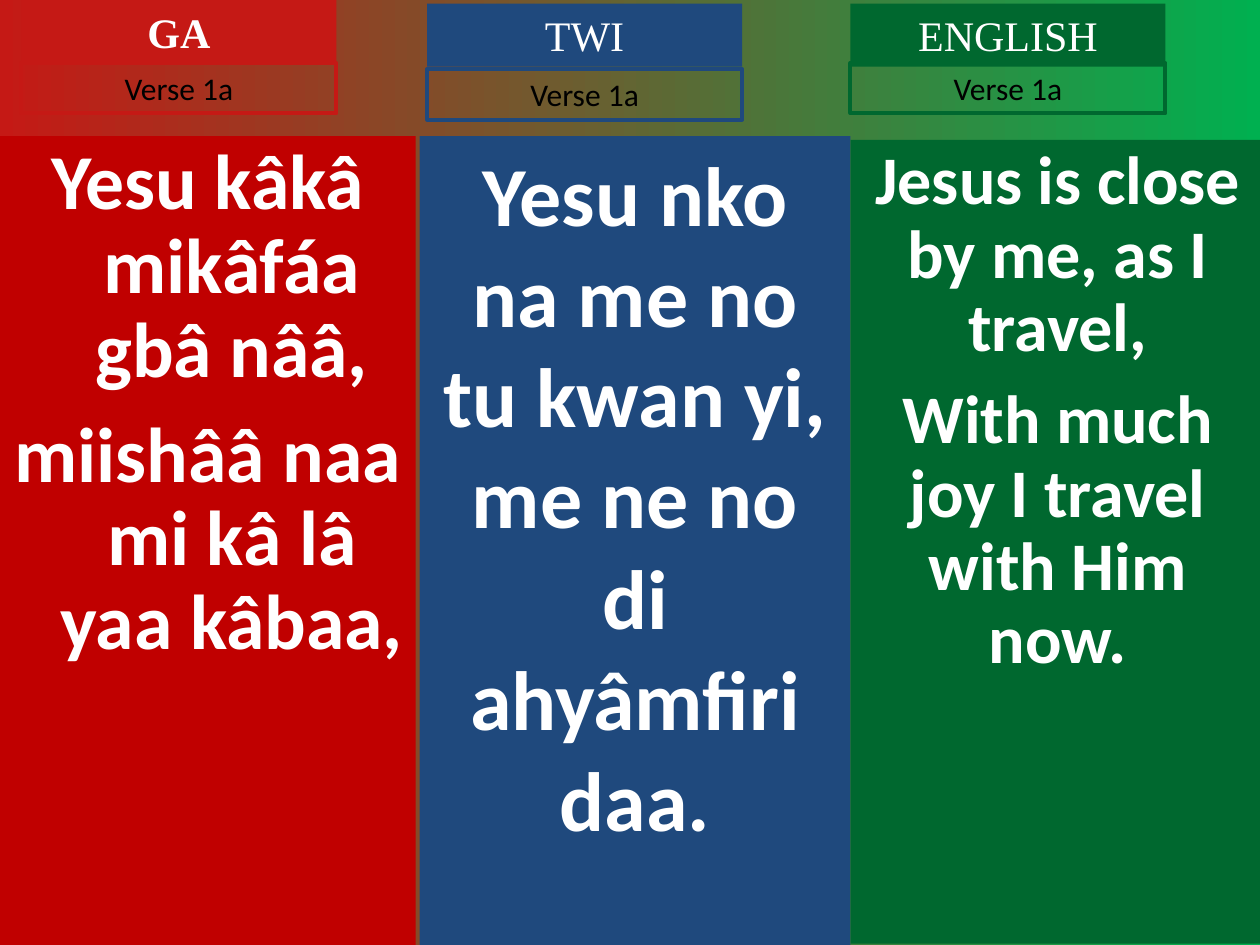
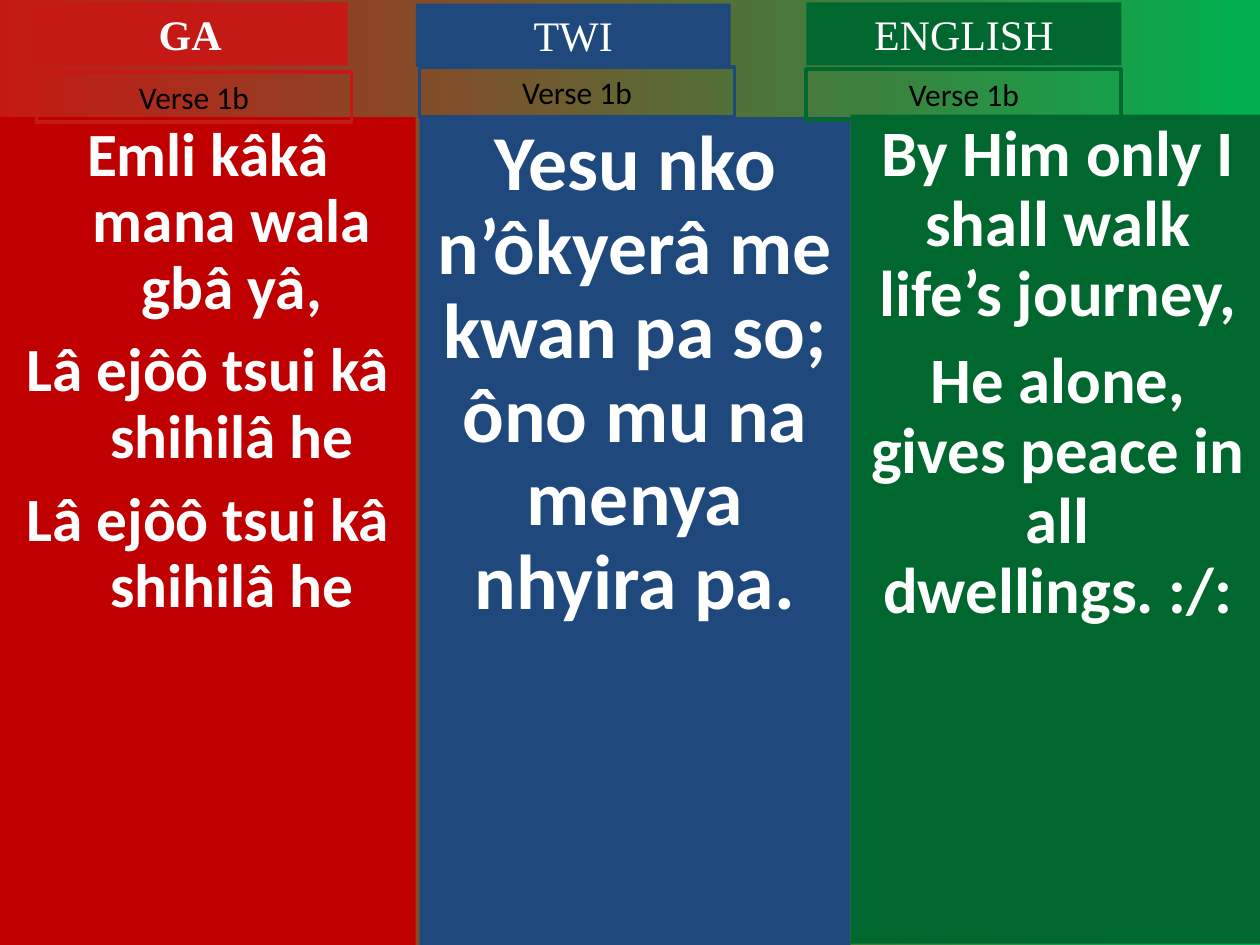
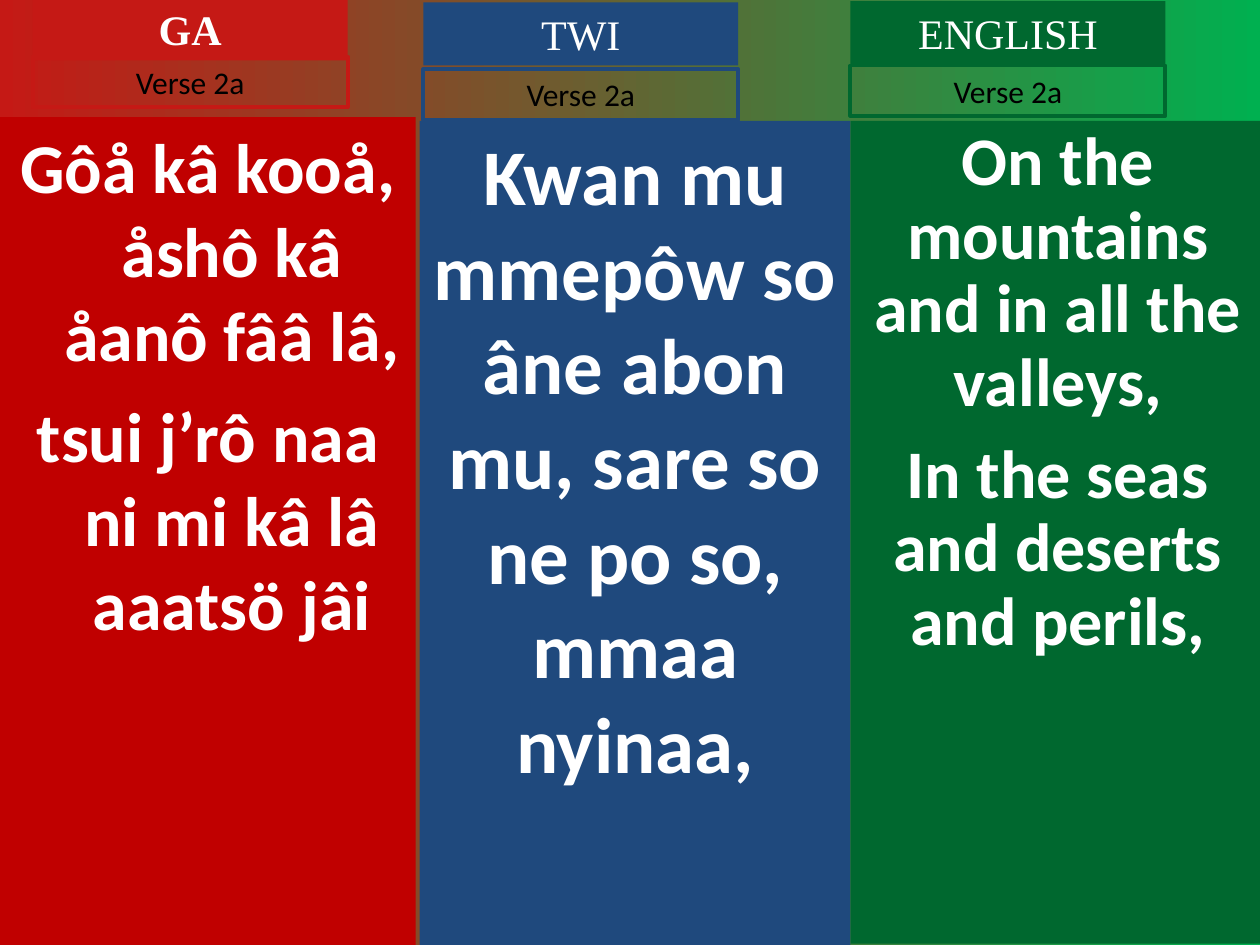
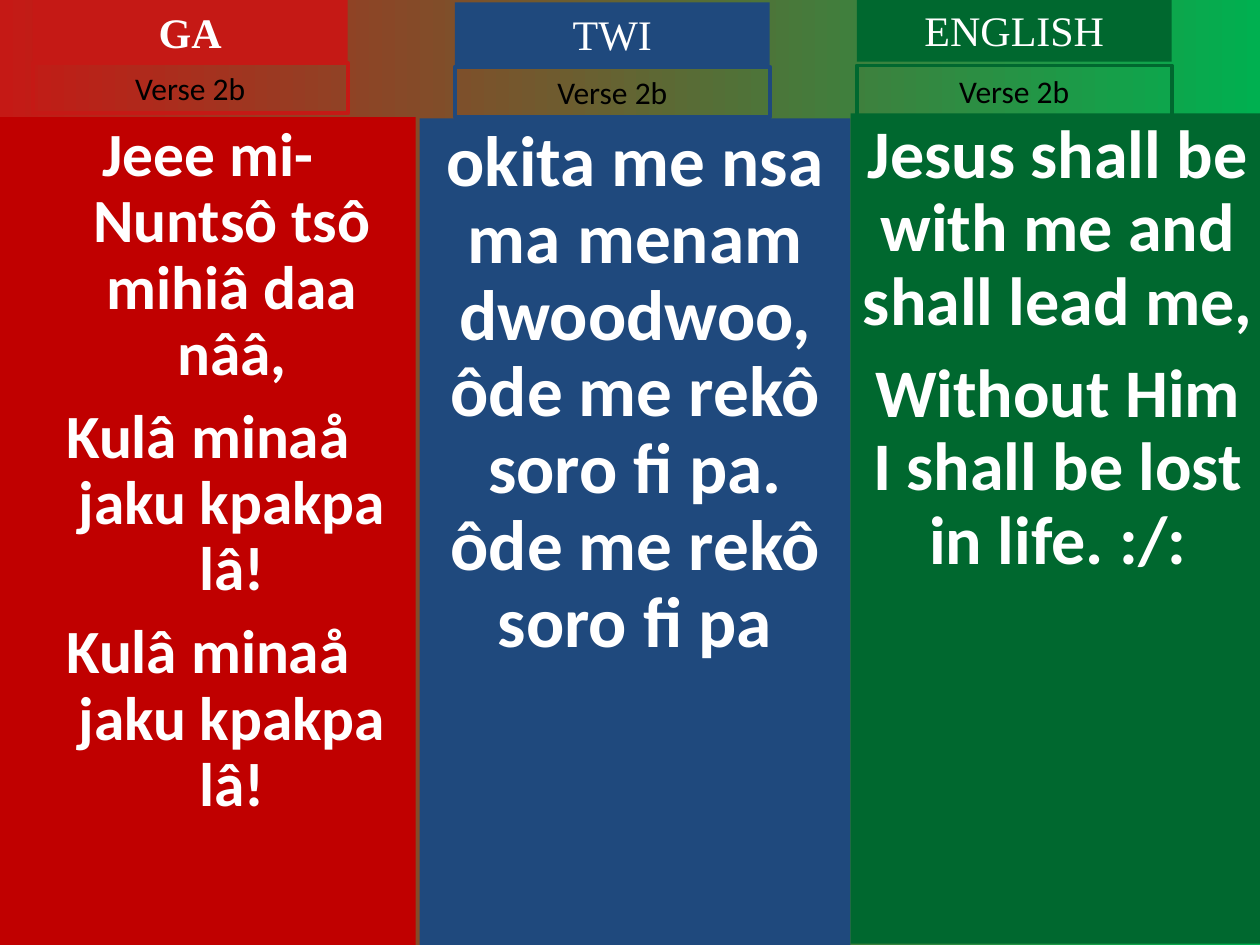
from dataclasses import dataclass

from pptx import Presentation
from pptx.dml.color import RGBColor
from pptx.enum.shapes import MSO_SHAPE
from pptx.enum.text import MSO_ANCHOR, PP_ALIGN
from pptx.util import Inches, Pt

RED = RGBColor(0xC5, 0x19, 0x15)
DEEP_RED = RGBColor(0xC0, 0x00, 0x00)
BLUE = RGBColor(0x1F, 0x49, 0x7D)
GREEN = RGBColor(0x00, 0x68, 0x2F)
BRIGHT_GREEN = RGBColor(0x00, 0xB0, 0x50)
WHITE = RGBColor(0xFF, 0xFF, 0xFF)
BLACK = RGBColor(0x00, 0x00, 0x00)

BODY_FONT = "Calibri"
TITLE_FONT = "Times New Roman"
LABEL_WIDTH = 2.5
TITLE_HEIGHT = 0.5
VERSE_HEIGHT = 0.4
HANGING = 0.38


@dataclass
class Language:
    """A language column that every slide shares."""
    name: str
    accent: RGBColor
    panel: RGBColor
    left: float
    width: float
    bottom: float = 7.5
    bold_title: bool = False
    hanging: bool = False


@dataclass
class Lyrics:
    """The words of one column, with their places and text measures."""
    title_at: tuple
    verse_at: tuple
    top: float
    size: float
    gap: float
    spacing: float
    lines: list


LANGUAGES = [
    Language("GA", RED, DEEP_RED, 0, 3.3, bold_title=True, hanging=True),
    Language("TWI", BLUE, BLUE, 3.33, 3.42),
    Language("ENGLISH", GREEN, GREEN, 6.75, 3.29, bottom=7.49),
]

VERSES = {
    "Verse 1a": [
        Lyrics((0.17, 0), (0.17, 0.5), 1.08, 44.4, 12, 0.9,
               ["Yesu kâkâ mikâfáa gbâ nââ,",
                "miishââ naa mi kâ lâ yaa kâbaa,"]),
        Lyrics((3.39, 0.03), (3.39, 0.55), 1.08, 48, 12, 1.0,
               ["Yesu nko na me no tu kwan yi, me ne no di ahyâmfiri daa."]),
        Lyrics((6.75, 0.03), (6.75, 0.5), 1.11, 38.9, 10.5, 0.9,
               ["Jesus is close by me, as I travel,",
                "With much joy I travel with Him now."]),
    ],
    "Verse 1b": [
        Lyrics((0.26, 0.02), (0.29, 0.57), 0.93, 35.1, 9.5, 0.9,
               ["Emli kâkâ mana wala gbâ yâ,",
                "Lâ ejôô tsui kâ shihilâ he",
                "Lâ ejôô tsui kâ shihilâ he"]),
        Lyrics((3.3, 0.03), (3.33, 0.53), 0.93, 44.4, 12, 0.9,
               ["Yesu nko n’ôkyerâ me kwan pa so; ôno mu na menya nhyira pa."]),
        Lyrics((6.4, 0.02), (6.4, 0.55), 0.91, 37, 10, 0.9,
               ["By Him only I shall walk life’s journey,",
                "He alone, gives peace in all dwellings. :/:"]),
    ],
    "Verse 2a": [
        Lyrics((0.26, -0.02), (0.26, 0.45), 0.93, 40, 10, 1.0,
               ["Gôå kâ kooå, åshô kâ åanô fââ lâ,",
                "tsui j’rô naa ni mi kâ lâ aaatsö jâi"]),
        Lyrics((3.36, 0.02), (3.36, 0.55), 0.96, 45, 11.2, 1.0,
               ["Kwan mu mmepôw so âne abon mu, sare so ne po so, mmaa nyinaa,"]),
        Lyrics((6.75, 0.01), (6.75, 0.52), 0.96, 38.9, 10.5, 0.9,
               ["On the mountains and in all the valleys,",
                "In the seas and deserts and perils,"]),
    ],
    "Verse 2b": [
        Lyrics((0.26, 0), (0.26, 0.5), 0.93, 35.1, 9.5, 0.9,
               ["Jeee mi-Nuntsô tsô mihiâ daa nââ,",
                "Kulâ minaå jaku kpakpa lâ!",
                "Kulâ minaå jaku kpakpa lâ!"]),
        Lyrics((3.61, 0.02), (3.61, 0.53), 0.94, 40.7, 11, 0.9,
               ["okita me nsa ma menam dwoodwoo, ôde me rekô soro fi pa. "
                "ôde me rekô soro fi pa"]),
        Lyrics((6.8, -0.01), (6.8, 0.52), 0.9, 38.9, 10.5, 0.9,
               ["Jesus shall be with me and shall lead me,",
                "Without Him I shall be lost in life. :/:"]),
    ],
}


def paint_background(slide):
    """Fill the slide with the red to green gradient."""
    fill = slide.background.fill
    fill.gradient()
    fill.gradient_angle = 0
    for stop, color in zip(fill.gradient_stops, (RED, BRIGHT_GREEN)):
        stop.color.rgb = color


def add_box(slide, left, top, width, height, fill=None, line=None):
    """Add a plain rectangle with top-anchored, wrapping text."""
    box = slide.shapes.add_shape(MSO_SHAPE.RECTANGLE, Inches(left), Inches(top),
                                 Inches(width), Inches(height))
    box.shadow.inherit = False
    if fill is None:
        box.fill.background()
    else:
        box.fill.solid()
        box.fill.fore_color.rgb = fill
    if line is None:
        box.line.fill.background()
    else:
        box.line.color.rgb = line
        box.line.width = Pt(2.25)
    box.text_frame.word_wrap = True
    box.text_frame.vertical_anchor = MSO_ANCHOR.TOP
    return box


def write(box, lines, font_name, size, color, bold=False):
    """Write centred paragraphs into a box and return them."""
    frame = box.text_frame
    frame.text = "\n".join(lines)
    for paragraph in frame.paragraphs:
        paragraph.alignment = PP_ALIGN.CENTER
        for run in paragraph.runs:
            run.font.name = font_name
            run.font.size = Pt(size)
            run.font.bold = bold
            run.font.color.rgb = color
    return frame.paragraphs


def add_lyrics(slide, language, lyrics):
    """Add the coloured column with the words of the verse."""
    panel = add_box(slide, language.left, lyrics.top, language.width,
                    language.bottom - lyrics.top, fill=language.panel)
    paragraphs = write(panel, lyrics.lines, BODY_FONT, lyrics.size, WHITE, bold=True)
    for index, paragraph in enumerate(paragraphs):
        paragraph.line_spacing = lyrics.spacing
        if index:
            paragraph.space_before = Pt(lyrics.gap)
        if language.hanging:
            properties = paragraph._p.get_or_add_pPr()
            properties.set("marL", str(Inches(HANGING)))
            properties.set("indent", str(-Inches(HANGING)))


def add_title(slide, language, position):
    """Add the filled label that names the language."""
    title = add_box(slide, *position, LABEL_WIDTH, TITLE_HEIGHT, fill=language.accent)
    write(title, [language.name], TITLE_FONT, 24, WHITE, bold=language.bold_title)


def add_verse_label(slide, language, position, verse):
    """Add the outlined label that names the verse."""
    label = add_box(slide, *position, LABEL_WIDTH, VERSE_HEIGHT, line=language.accent)
    write(label, [verse], BODY_FONT, 18, BLACK)


def add_verse_slide(deck, verse, columns):
    """Add one slide with the verse in all languages side by side."""
    slide = deck.slides.add_slide(deck.slide_layouts[6])
    paint_background(slide)
    for language, lyrics in zip(LANGUAGES, columns):
        add_lyrics(slide, language, lyrics)
        add_title(slide, language, lyrics.title_at)
        add_verse_label(slide, language, lyrics.verse_at, verse)


def main():
    """Build the hymn slides and save them."""
    deck = Presentation()
    deck.slide_width = Inches(10)
    deck.slide_height = Inches(7.5)
    for verse, columns in VERSES.items():
        add_verse_slide(deck, verse, columns)
    deck.save("out.pptx")


if __name__ == "__main__":
    main()
